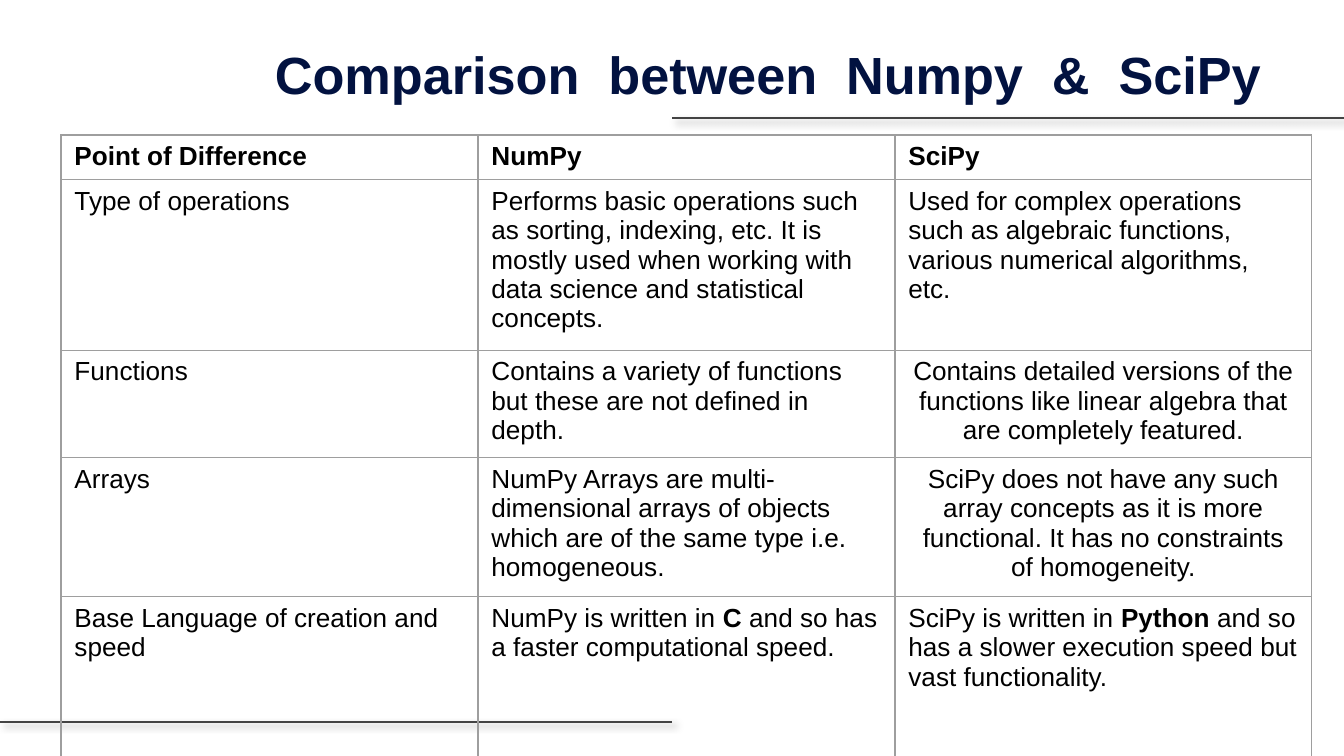
from lxml import etree
from pptx import Presentation
from pptx.dml.color import RGBColor
from pptx.enum.shapes import MSO_CONNECTOR
from pptx.enum.text import MSO_ANCHOR, PP_ALIGN
from pptx.oxml import parse_xml
from pptx.oxml.ns import nsdecls, qn
from pptx.util import Emu, Pt

NAVY = RGBColor(0x02, 0x12, 0x40)
BLACK = RGBColor(0x00, 0x00, 0x00)
CHARCOAL = RGBColor(0x43, 0x43, 0x43)
GREY = RGBColor(0x9E, 0x9E, 0x9E)
WHITE = RGBColor(0xFF, 0xFF, 0xFF)
SCALE = 914400 / 134.4


def px(length):
    return Emu(round(length * SCALE))


def write_text(frame, text, size=14, color=BLACK, bold=False, align=PP_ALIGN.LEFT):
    frame.word_wrap = True
    para = frame.paragraphs[0]
    para.alignment = align
    for index, part in enumerate(text.split("*")):
        span = para.add_run()
        span.text = part
        span.font.name = "Arial"
        span.font.size = Pt(size)
        span.font.bold = bold or index % 2 == 1
        span.font.color.rgb = color


deck = Presentation()
deck.slide_width = px(1344)
deck.slide_height = px(756)
page = deck.slides.add_slide(deck.slide_layouts[6])
page.background.fill.solid()
page.background.fill.fore_color.rgb = WHITE

title_box = page.shapes.add_textbox(px(254), px(32), px(1028), px(86))
title_frame = title_box.text_frame
title_frame.vertical_anchor = MSO_ANCHOR.BOTTOM
title_frame.margin_left = title_frame.margin_right = px(13)
title_frame.margin_top = title_frame.margin_bottom = px(13)
write_text(title_frame, "Comparison  between  Numpy  &  SciPy",
           size=28, color=NAVY, bold=True, align=PP_ALIGN.CENTER)

for left, top in [(672, 118), (0, 722)]:
    rule = page.shapes.add_connector(
        MSO_CONNECTOR.STRAIGHT, px(left), px(top), px(left + 672), px(top))
    rule.line.color.rgb = CHARCOAL
    rule.line.width = Pt(0.75)
    rule._element.spPr.append(parse_xml(
        f'<a:effectLst {nsdecls("a")}>'
        '<a:outerShdw blurRad="50800" dist="38100" dir="2700000" algn="tl" rotWithShape="0">'
        '<a:srgbClr val="000000"><a:alpha val="40000"/></a:srgbClr>'
        '</a:outerShdw></a:effectLst>'))

ROWS = [
    (44, ["Point of Difference", "NumPy", "SciPy"]),
    (155, ["Type of operations",
           "Performs basic operations such as sorting, indexing, etc. It is mostly used "
           "when working with data science and statistical concepts.",
           "Used for complex operations such as algebraic functions, various numerical "
           "algorithms, etc."]),
    (98, ["Functions",
          "Contains a variety of functions but these are not defined in depth.",
          "Contains detailed versions of the functions like linear algebra that are "
          "completely featured."]),
    (126, ["Arrays",
           "NumPy Arrays are multi-dimensional arrays of objects which are of the same "
           "type i.e. homogeneous.",
           "SciPy does not have any such array concepts as it is more functional. It has "
           "no constraints of homogeneity."]),
    (92, ["Base Language of creation and speed",
          "NumPy is written in *C* and so has a faster computational speed.",
          "SciPy is written in *Python* and so has a slower execution speed but vast "
          "functionality."]),
]
CENTERED = {(2, 2), (3, 2)}
LAST_ROW = len(ROWS) - 1

table_shape = page.shapes.add_table(
    len(ROWS), 3, px(61), px(135), px(3 * 417), px(441))
table = table_shape.table
table.first_row = False
table.horz_banding = False
for column in table.columns:
    column.width = px(417)

for row, (height, texts) in enumerate(ROWS):
    table.rows[row].height = px(height)
    for col, text in enumerate(texts):
        cell = table.cell(row, col)
        cell.vertical_anchor = MSO_ANCHOR.TOP
        if row == LAST_ROW:
            cell.margin_bottom = px(66)
        align = PP_ALIGN.CENTER if (row, col) in CENTERED else PP_ALIGN.LEFT
        write_text(cell.text_frame, text, bold=row == 0, align=align)
        properties = cell._tc.get_or_add_tcPr()
        for side in ("a:lnL", "a:lnR", "a:lnT", "a:lnB"):
            border = etree.SubElement(properties, qn(side), w=str(Pt(0.75)))
            fill = etree.SubElement(border, qn("a:solidFill"))
            etree.SubElement(fill, qn("a:srgbClr"), val=str(GREY))
        cell.fill.background()

table_shape.height = px(441)
deck.save("out.pptx")
